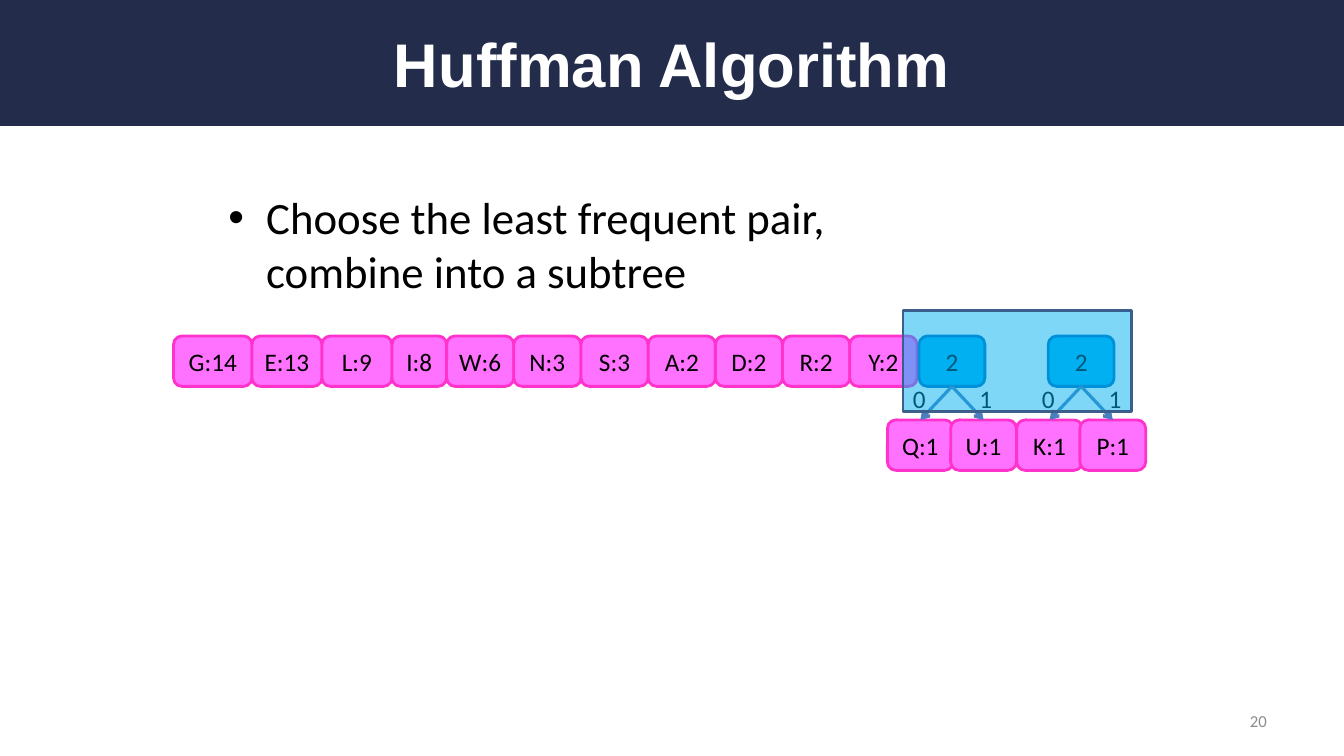
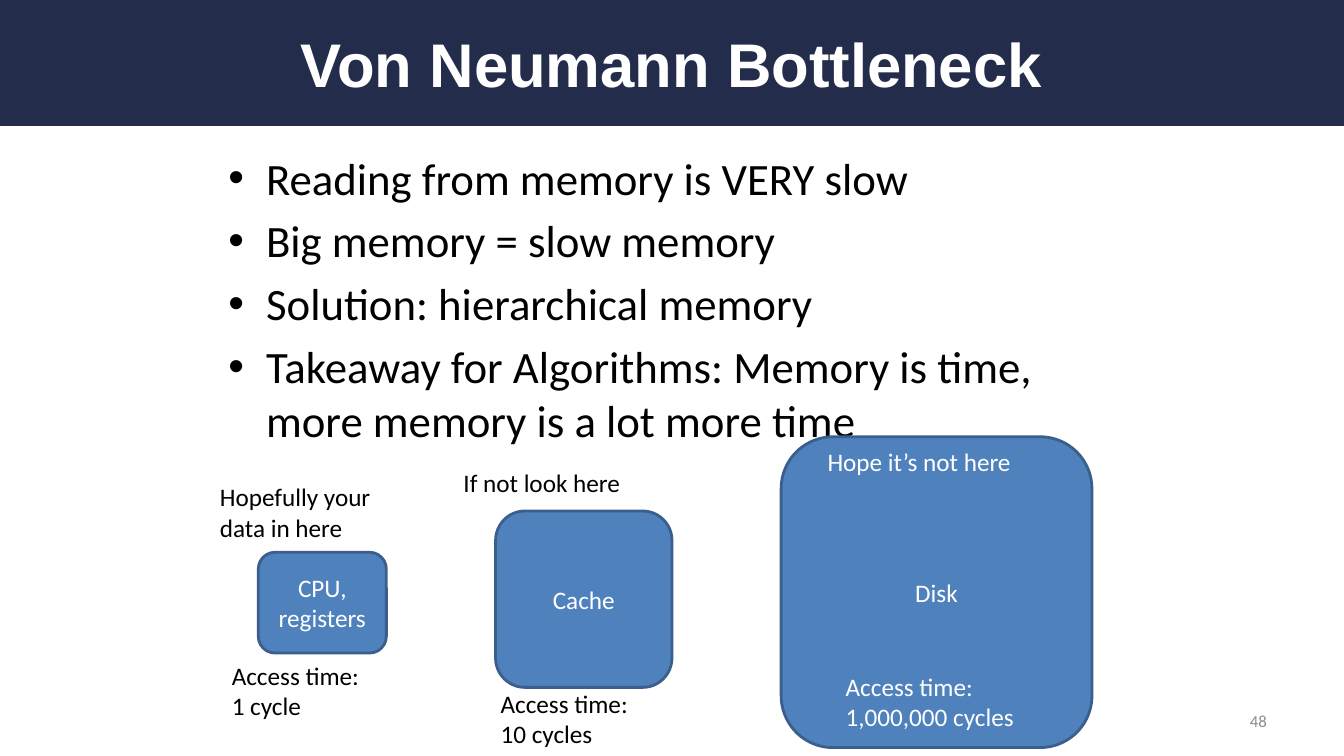
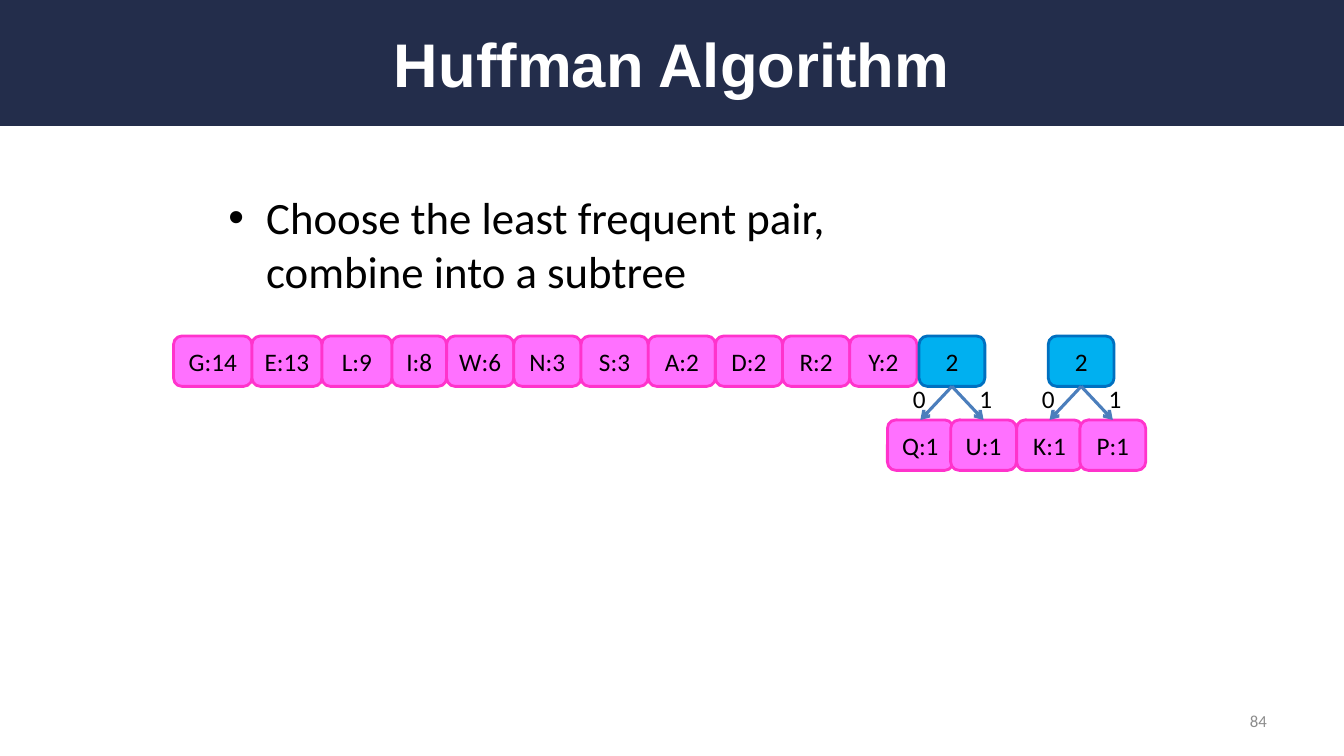
"""Builds three algorithm slides: two Huffman subtree steps and the memory hierarchy."""
from pptx import Presentation
from pptx.dml.color import RGBColor
from pptx.enum import shapes, text
from pptx.oxml import ns
from pptx.util import Pt
from lxml import etree

NAVY = RGBColor(0x23, 0x2D, 0x4B)
WHITE = RGBColor(0xFF, 0xFF, 0xFF)
BLACK = RGBColor(0, 0, 0)
GREY = RGBColor(0x8C, 0x8C, 0x8C)
PINK = RGBColor(0xFF, 0x71, 0xFF)
MAGENTA = RGBColor(0xFF, 0x33, 0xCC)
CYAN = RGBColor(0x00, 0xB0, 0xF0)
AZURE = RGBColor(0x00, 0x70, 0xC0)
BLUE = RGBColor(0x4F, 0x81, 0xBD)
EDGE = RGBColor(0x4B, 0x7E, 0xBC)
OUTLINE = RGBColor(0x3A, 0x5F, 0x8C)

RECT = shapes.MSO_SHAPE.RECTANGLE
ROUNDED = shapes.MSO_SHAPE.ROUNDED_RECTANGLE
MIDDLE = text.MSO_ANCHOR.MIDDLE
TOP = text.MSO_ANCHOR.TOP
LEFT, CENTER, RIGHT = text.PP_ALIGN.LEFT, text.PP_ALIGN.CENTER, text.PP_ALIGN.RIGHT

TITLE = {"name": "Arial", "size": Pt(44), "bold": True}
BODY = {"name": "Calibri", "size": Pt(32)}
LABEL = {"name": "Calibri", "size": Pt(18)}
NUMBER = {"name": "Calibri", "size": Pt(12)}


def write(parent, place, lines, style=LABEL, color=BLACK, align=LEFT, anchor=TOP,
          wrap=True, bullets=False, host=None):
    """Put lines of text into host, or into a new text box at place."""
    frame = (host or parent.add_textbox(*map(Pt, place))).text_frame
    frame.word_wrap = wrap
    frame.vertical_anchor = anchor
    for index, line in enumerate(lines):
        paragraph = frame.add_paragraph() if index else frame.paragraphs[0]
        paragraph.alignment = align
        paragraph.add_run().text = line
        if bullets:
            properties = paragraph._p.get_or_add_pPr()
            properties.set("marL", str(Pt(27)))
            properties.set("indent", str(-Pt(27)))
            if index:
                paragraph.space_before = Pt(6.4)
            etree.SubElement(properties, ns.qn("a:buFont"), typeface="Arial")
            etree.SubElement(properties, ns.qn("a:buChar"), char="•")
        for attribute, value in style.items():
            setattr(paragraph.runs[0].font, attribute, value)
        paragraph.runs[0].font.color.rgb = color


def block(parent, place, fill, outline=None, caption=None, color=BLACK, kind=ROUNDED, wrap=False):
    """Draw a filled shape with an optional outline and centred caption."""
    shape = parent.add_shape(kind, *map(Pt, place))
    shape.shadow.inherit = False
    shape.fill.solid()
    shape.fill.fore_color.rgb = fill
    if outline is None:
        shape.line.fill.background()
    else:
        shape.line.color.rgb = outline
        shape.line.width = Pt(2)
    if caption:
        write(parent, place, [caption], color=color, align=CENTER, anchor=MIDDLE,
              wrap=wrap, host=shape)
    return shape


HUFFMAN = ("Huffman Algorithm", (156, 129, 533, 90),
           ["Choose the least frequent pair, combine into a subtree"])
MEMORY = ("Von Neumann Bottleneck", (156, 93, 648, 240),
          ["Reading from memory is VERY slow",
           "Big memory = slow memory",
           "Solution: hierarchical memory",
           "Takeaway for Algorithms: Memory is time, more memory is a lot more time"])

SYMBOLS = [("G:14", 56), ("E:13", 50), ("L:9", 50), ("I:8", 39)] + [
    (symbol, 48) for symbol in ("W:6", "N:3", "S:3", "A:2", "D:2", "R:2", "Y:2")]
SUBTREES = [(656.5, ("Q:1", "U:1")), (748.8, ("K:1", "P:1"))]
ROW_TOP, LEAF_TOP, NODE_WIDTH, NODE_HEIGHT = 240, 300, 47, 36

MEMORY_LEVELS = [
    ("CPU, registers", (184.5, 394.5, 91.5, 72)),
    ("Cache", (354, 365, 126, 126)),
    ("Disk", (558, 312, 222, 222)),
]
MEMORY_CAPTIONS = [
    (["If not look here"], (324, 330, 144, 29), BLACK),
    (["Hopefully your data in here"], (150, 340.5, 144, 51), BLACK),
    (["Hope it’s not here"], (584, 315.5, 156, 29), WHITE),
    (["Access time:", "1 cycle"], (158.5, 468, 144, 51), BLACK),
    (["Access time:", "10 cycles"], (350.5, 488, 144, 51), BLACK),
    (["Access time:", "1,000,000 cycles"], (597, 476, 144, 51), WHITE),
]

deck = Presentation()
deck.slide_width, deck.slide_height = Pt(960), Pt(540)

for number, content, highlighted in [("20", HUFFMAN, True), ("48", MEMORY, False),
                                     ("84", HUFFMAN, False)]:
    title, body_place, points = content
    canvas = deck.slides.add_slide(deck.slide_layouts[6]).shapes
    block(canvas, (0, 0, 960, 90), NAVY, kind=RECT)
    write(canvas, (48, 12, 864, 66), [title], TITLE, WHITE, CENTER, MIDDLE)
    write(canvas, body_place, points, BODY, anchor=MIDDLE, bullets=True)
    write(canvas, (688, 500.5, 224, 29), [number], NUMBER, GREY, RIGHT, MIDDLE)

    if content is MEMORY:
        for level, place in MEMORY_LEVELS:
            block(canvas, place, BLUE, OUTLINE, level, WHITE, wrap=True)
        for lines, place, color in MEMORY_CAPTIONS:
            write(canvas, place, lines, color=color)
        continue

    symbol_left = 124
    for symbol, width in SYMBOLS:
        block(canvas, (symbol_left, ROW_TOP, width, NODE_HEIGHT), PINK, MAGENTA, symbol)
        symbol_left += width

    for root_left, leaves in SUBTREES:
        subtree = canvas.add_group_shape().shapes
        root_center = root_left + NODE_WIDTH / 2
        for side, leaf in zip((-1, 1), leaves):
            block(subtree, (root_left + side * 22.6, LEAF_TOP, NODE_WIDTH, NODE_HEIGHT),
                  PINK, MAGENTA, leaf)
        block(subtree, (root_left, ROW_TOP, NODE_WIDTH, NODE_HEIGHT), CYAN, AZURE, "2")
        for side in (-1, 1):
            branch = subtree.add_connector(
                shapes.MSO_CONNECTOR.STRAIGHT, Pt(root_center), Pt(ROW_TOP + NODE_HEIGHT),
                Pt(root_center + side * 22.6), Pt(LEAF_TOP))
            branch.line.color.rgb = EDGE
            branch.line.width = Pt(2.25)
            etree.SubElement(branch.line._get_or_add_ln(), ns.qn("a:tailEnd"), type="arrow")
            etree.SubElement(branch._element.spPr, ns.qn("a:effectLst"))
        for side, bit in ((-1, "0"), (1, "1")):
            write(subtree, (root_left + 12.2 + side * 23.8, 270.4, 24, 29), [bit], wrap=False)

    if highlighted:
        highlight = block(canvas, (645, 222, 163, 72), CYAN, OUTLINE, kind=RECT)
        tint = highlight._element.spPr.find(".//" + ns.qn("a:srgbClr"))
        etree.SubElement(tint, ns.qn("a:alpha"), val="50000")

deck.save("out.pptx")
